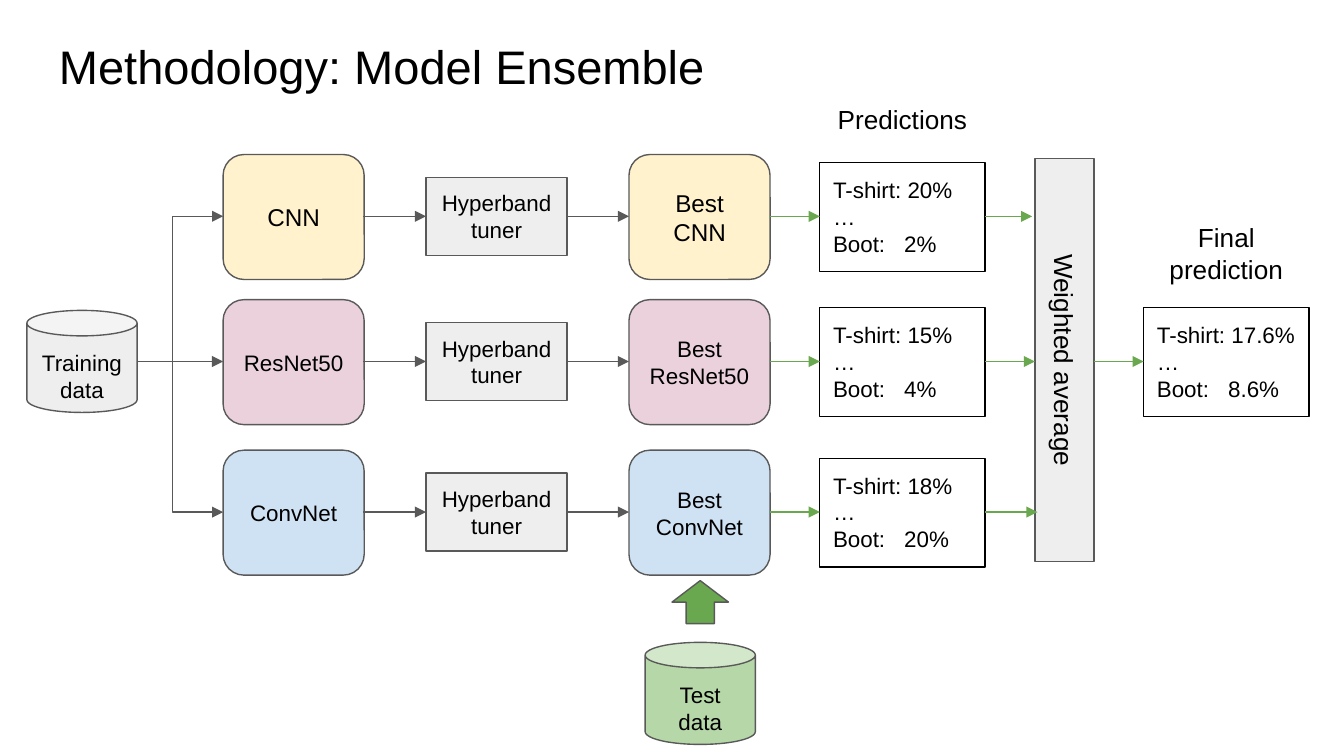
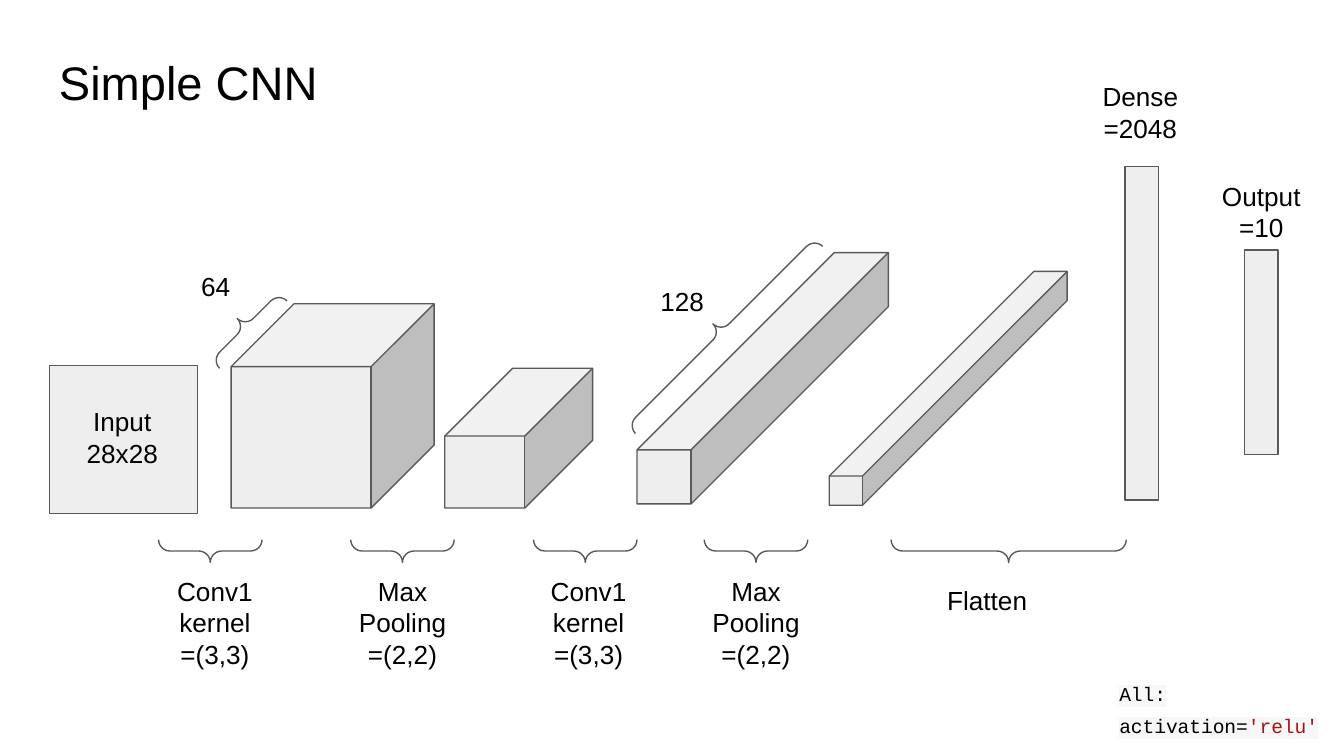
from dataclasses import dataclass

from lxml import etree
from pptx import Presentation
from pptx import util as u
from pptx.dml.color import RGBColor
from pptx.enum import shapes, text
from pptx.oxml.ns import qn

PX = 9144  # EMU in one px, at 100 px to the inch
WIDE = 1000
HIGH = WIDE * 9 / 16
PAD = 10
KIND = shapes.MSO_SHAPE
LINK = shapes.MSO_CONNECTOR
ALIGN = text.PP_ALIGN
ANCHOR = text.MSO_ANCHOR


@dataclass(frozen=True)
class Theme:
    font: str = "Arial"
    code: str = "Courier New"
    ink: str = "000000"
    edge: str = "595959"
    grey: str = "EEEEEE"
    gold: str = "FFF2CC"
    pink: str = "EAD1DC"
    blue: str = "CFE2F3"
    mint: str = "B6D7A8"
    green: str = "6AA84F"
    red: str = "A31515"
    mark: str = "F7F7F7"
    head: float = 25.2
    label: float = 14
    first: float = 13
    body: float = 12
    small: float = 10.5
    rule: float = 0.75


T = Theme()


def emu(*vals):
    return [u.Emu(round(v * PX)) for v in vals]


def rgb(code):
    return RGBColor.from_string(code)


def put(item, vals):
    for name, val in vals.items():
        setattr(item, name, val)


def node(up, tag, **vals):
    return etree.SubElement(up, qn(tag), vals)


def style(run, size, ink=T.ink, font=T.font):
    put(run.font, {"size": u.Pt(size), "name": font})
    run.font.color.rgb = rgb(ink)


def write(shape, words, size, align=ALIGN.CENTER, anchor=ANCHOR.TOP, tab=None):
    """Fill a shape with text, one paragraph to a line; tab is a stop in px."""
    frame = shape.text_frame
    sides = ("left", "top", "right", "bottom")
    put(frame, {f"margin_{side}": u.Emu(PAD * PX) for side in sides})
    put(frame, {"word_wrap": True, "vertical_anchor": anchor})
    for i, line in enumerate(words.split("\n")):
        para = frame.paragraphs[0] if i == 0 else frame.add_paragraph()
        para.alignment = align
        if "\t" in line:
            stops = node(para._p.get_or_add_pPr(), "a:tabLst")
            node(stops, "a:tab", pos=str(tab * PX), algn="l")
        run = para.add_run()
        run.text = line
        style(run, size)


def label(slide, at, words, size=T.label, **form):
    area = slide.shapes.add_textbox(*emu(*at))
    write(area, words, size, **form)


def shape(slide, kind, at, fill=T.grey, edge=T.edge, adj=(), turn=0):
    item = slide.shapes.add_shape(kind, *emu(*at))
    item.shadow.inherit = False
    item.rotation = turn
    if fill:
        item.fill.solid()
        item.fill.fore_color.rgb = rgb(fill)
    else:
        item.fill.background()
    item.line.color.rgb = rgb(edge)
    item.line.width = u.Pt(T.rule)
    for i, val in enumerate(adj):
        item.adjustments[i] = val
    return item


def block(slide, kind, at, words, fill, size=T.body, anchor=ANCHOR.MIDDLE, **form):
    write(shape(slide, kind, at, fill, **form), words, size, anchor=anchor)


def link(slide, start, end, ink=T.edge, tip=True, bend=None):
    """Draw a straight line, or an elbow that turns at the share bend."""
    kind = LINK.STRAIGHT if bend is None else LINK.ELBOW
    line = slide.shapes.add_connector(kind, *emu(*start, *end))
    line.line.color.rgb = rgb(ink)
    line.line.width = u.Pt(T.rule)
    props = line._element.spPr
    if bend is not None:
        geom = props.find(qn("a:prstGeom"))
        guides = geom.find(qn("a:avLst"))
        if guides is None:
            guides = node(geom, "a:avLst")
        node(guides, "a:gd", name="adj1", fmla=f"val {round(bend * 100000)}")
    if tip:
        node(line.line._get_or_add_ln(), "a:tailEnd", type="triangle")
    node(props, "a:effectLst")


def title(slide, top, words):
    label(slide, (34, top, 932, 63), words, T.head, align=ALIGN.LEFT)


def scores(slide, left, mid, shirt, boot):
    item = shape(slide, KIND.RECTANGLE, (left, mid - 40, 123, 81), None, T.ink)
    words = f"T-shirt: {shirt}\n…\nBoot:\t{boot}"
    write(item, words, T.body, ALIGN.LEFT, tab=53)


def store(slide, left, top, words, fill):
    block(slide, KIND.CAN, (left, top, 82, 76), words, fill,
          anchor=ANCHOR.TOP, adj=[0.25])


def brace(slide, mid, y, span, turn=270):
    """Centre a brace of the given span on a point, then turn it."""
    at = (mid - 8, y - span / 2, 17, span)
    shape(slide, KIND.LEFT_BRACE, at, None, adj=[0.5, 0.5], turn=turn)


def model(slide, left, mid, words, fill, size):
    block(slide, KIND.ROUNDED_RECTANGLE, (left, mid - 46, 105, 93), words,
          fill, size, adj=[0.167])


def mix(slide):
    title(slide, 18, "Methodology: Model Ensemble")
    hub, core = 127, 269
    rows = [
        (161, "CNN", T.gold, T.first, "20%", "2%", 768),
        (core, "ResNet50", T.pink, T.body, "15%", "4%", 770),
        (381, "ConvNet", T.blue, T.body, "18%", "20%", 772),
    ]
    store(slide, 20, 231, "Training data", T.grey)
    link(slide, (102, core), (hub, core), tip=False)
    block(slide, KIND.RECTANGLE, (642, 246, 300, 44), "Weighted average",
          T.grey, T.label, turn=90)
    for mid, name, fill, size, shirt, boot, stop in rows:
        bend = None if mid == core else 0.04
        link(slide, (hub, core), (166, mid), bend=bend)
        model(slide, 166, mid, name, fill, size)
        block(slide, KIND.RECTANGLE, (317, mid - 29, 105, 58),
              "Hyperband tuner", T.grey)
        model(slide, 468, mid, f"Best {name}", fill, size)
        scores(slide, 610, mid, shirt, boot)
        spans = [(270, 317, T.edge), (422, 468, T.edge),
                 (573, 610, T.green), (733, stop, T.green)]
        for start, end, ink in spans:
            link(slide, (start, mid), (end, mid), ink)
    store(slide, 480, 478, "Test data", T.mint)
    shape(slide, KIND.UP_ARROW, (500, 432, 42, 32), T.green, adj=[0.5, 0.5])
    scores(slide, 851, core, "17.6%", "8.6%")
    link(slide, (814, core), (851, core), T.green)
    label(slide, (610, 67, 123, 44), "Predictions")
    label(slide, (851, 155, 123, 67), "Final prediction")


def code(slide):
    area = slide.shapes.add_textbox(*emu(823, 491, 177, 62))
    write(area, "All: activation=", T.small, ALIGN.LEFT)
    para = area.text_frame.paragraphs[0]
    para.line_spacing = 1.36
    para.add_run().text = "'relu'"
    for run, ink in zip(para.runs, (T.ink, T.red)):
        style(run, T.small, ink, T.code)
        props = run.font._element
        mark = etree.Element(qn("a:highlight"))
        node(mark, "a:srgbClr", val=T.mark)
        props.find(qn("a:solidFill")).addnext(mark)


def net(slide):
    title(slide, 30, "Simple CNN")
    for at in [(37, 272, 110, 110), (837, 124, 25, 248), (926, 186, 25, 152)]:
        shape(slide, KIND.RECTANGLE, at)
    cubes = [
        ((172, 226, 151, 152), 0.31),
        ((331, 274, 110, 104), 0.485),
        ((474, 188, 187, 187), 0.785),
        ((617, 202, 177, 174), 0.875),
    ]
    for at, depth in cubes:
        shape(slide, KIND.CUBE, at, adj=[depth])
    for mid, span in [(156, 77), (299, 77), (435, 77), (562, 77), (750, 175)]:
        brace(slide, mid, 410, span)
    brace(slide, 182, 243, 71, 45)
    brace(slide, 536, 247, 197, 45)
    conv, pool = "Conv1\nkernel=(3,3)", "Max\nPooling\n=(2,2)"
    notes = [
        (49, 292, 84, 67, "Input\n28x28"),
        (118, 418, 84, 91, conv),
        (249, 418, 101, 91, pool),
        (396, 418, 84, 91, conv),
        (512, 418, 101, 91, pool),
        (684, 425, 101, 44, "Flatten"),
        (110, 191, 101, 44, "64"),
        (457, 202, 101, 44, "128"),
        (798, 50, 101, 67, "Dense\n=2048"),
        (888, 124, 101, 67, "Output\n=10"),
    ]
    for *at, words in notes:
        label(slide, at, words)
    code(slide)


def main():
    deck = Presentation()
    wide, high = emu(WIDE, HIGH)
    put(deck, {"slide_width": wide, "slide_height": high})
    for draw in (mix, net):
        draw(deck.slides.add_slide(deck.slide_layouts[6]))
    deck.save("out.pptx")


if __name__ == "__main__":
    main()
